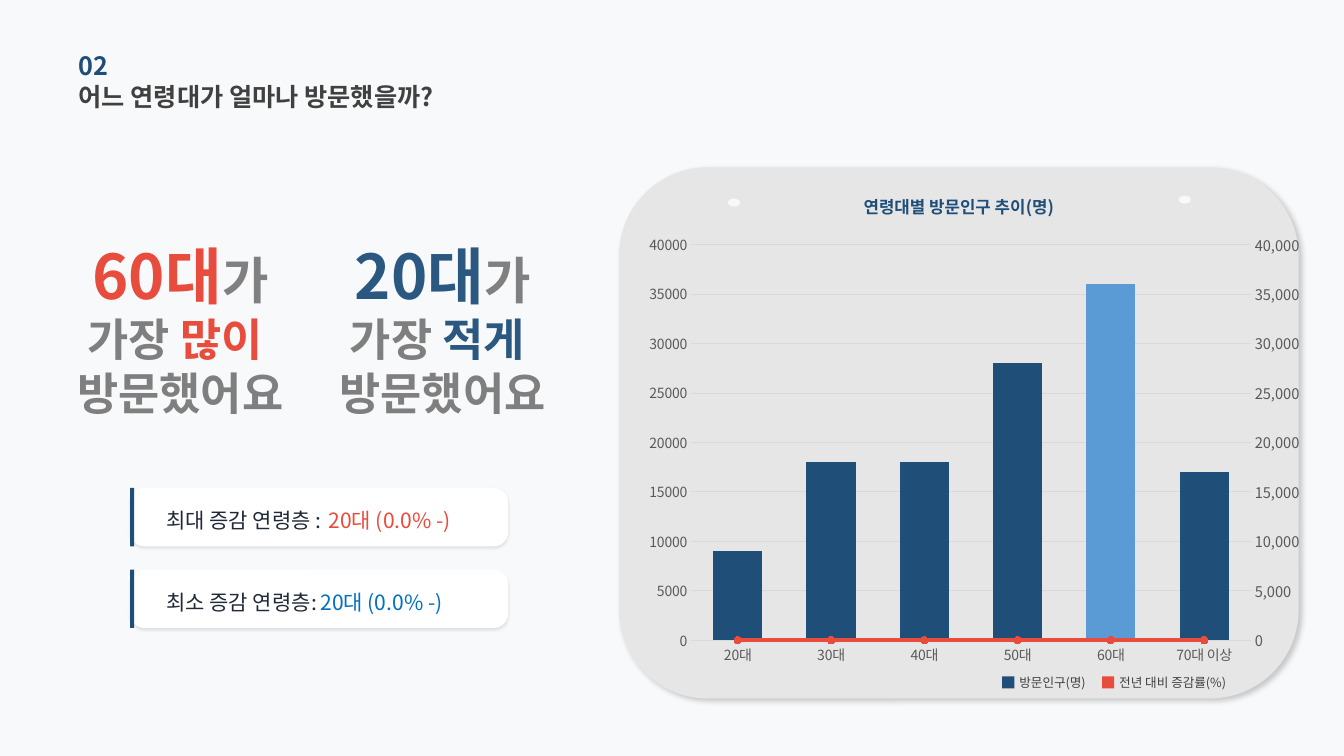
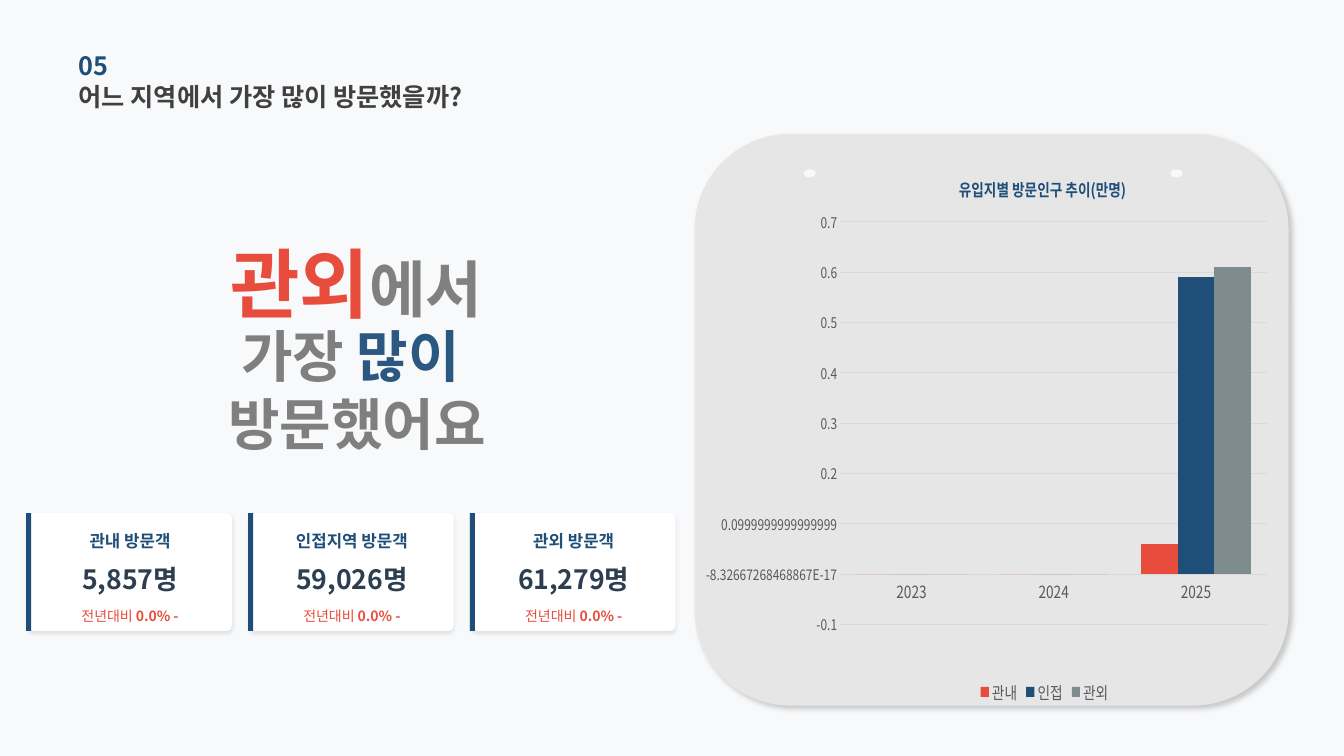
from copy import deepcopy
from lxml.etree import SubElement
from pptx import Presentation
from pptx.chart.axis import ValueAxis
from pptx.chart.data import CategoryChartData
from pptx.dml.color import RGBColor
from pptx.enum.chart import XL_CHART_TYPE, XL_LEGEND_POSITION, XL_MARKER_STYLE, XL_TICK_MARK
from pptx.enum.shapes import MSO_SHAPE
from pptx.enum.text import MSO_ANCHOR, PP_ALIGN
from pptx.oxml import parse_xml
from pptx.oxml.ns import nsdecls, qn
from pptx.util import Inches, Pt

PAPER = RGBColor(0xF8, 0xF9, 0xFA)
PANEL = RGBColor(0xE7, 0xE6, 0xE6)
WHITE = RGBColor(0xFF, 0xFF, 0xFF)
NAVY = RGBColor(0x1F, 0x4E, 0x79)
STEEL = RGBColor(0x2B, 0x58, 0x80)
SKY = RGBColor(0x5B, 0x9B, 0xD5)
BLUE = RGBColor(0x00, 0x70, 0xC0)
RED = RGBColor(0xE7, 0x4C, 0x3C)
DARK = RGBColor(0x40, 0x40, 0x40)
INK = RGBColor(0x1F, 0x29, 0x37)
SLATE = RGBColor(0x2C, 0x3E, 0x50)
GRAY = RGBColor(0x80, 0x80, 0x80)
MID = RGBColor(0x7F, 0x7F, 0x7F)
ASH = RGBColor(0x7F, 0x8C, 0x8D)
LABEL = RGBColor(0x59, 0x59, 0x59)
GRID = RGBColor(0xD9, 0xD9, 0xD9)
FACE = "Noto Sans CJK KR"


def style(font, size, color, bold=False):
    font.size = Pt(size)
    font.bold = bold
    font.color.rgb = color
    font.name = FACE
    SubElement(font._rPr, qn("a:ea")).set("typeface", FACE)


def place(node, **spots):
    layout = node.find(qn("c:layout"))
    if layout is None:
        layout = parse_xml(f"<c:layout {nsdecls('c')}/>")
        node.insert(0, layout)
    manual = SubElement(layout, qn("c:manualLayout"))
    if "w" in spots:
        SubElement(manual, qn("c:layoutTarget")).set("val", "inner")
    for key in "xy":
        SubElement(manual, qn(f"c:{key}Mode")).set("val", "edge")
    for key, value in spots.items():
        SubElement(manual, qn(f"c:{key}")).set("val", str(value))


def adjust(axis, **values):
    for tag, value in values.items():
        axis.find(qn(f"c:{tag}")).set("val", value)


class Deck:
    def __init__(self):
        self.show = Presentation()
        self.show.slide_width = Inches(13.33)
        self.show.slide_height = Inches(7.5)

    def page(self, number, title):
        self.slide = self.show.slides.add_slide(self.show.slide_layouts[6])
        fill = self.slide.background.fill
        fill.solid()
        fill.fore_color.rgb = PAPER
        self.text((0.78, 0.75, 5.28, 0.41), [(title, 18, DARK, True)])
        self.text((0.78, 0.44, 4.52, 0.41), [(number, 18, NAVY, True)])

    def text(self, box, *paras, align=PP_ALIGN.LEFT):
        frame = self.slide.shapes.add_textbox(*map(Inches, box)).text_frame
        frame.word_wrap = True
        frame.vertical_anchor = MSO_ANCHOR.MIDDLE
        frame.margin_left = frame.margin_right = 0
        frame.margin_top = frame.margin_bottom = 0
        for index, runs in enumerate(paras):
            para = frame.add_paragraph() if index else frame.paragraphs[0]
            para.alignment = align
            first = runs[0][1:]
            style(para.font, *first)
            for words, *look in runs:
                run = para.add_run()
                run.text = words
                if tuple(look) != first:
                    style(run.font, *look)

    def center(self, box, *paras):
        self.text(box, *paras, align=PP_ALIGN.CENTER)

    def shape(self, kind, box, color, shade=None, round=None):
        item = self.slide.shapes.add_shape(kind, *map(Inches, box))
        item.shadow.inherit = False
        item.fill.solid()
        item.fill.fore_color.rgb = color
        item.line.fill.background()
        if round is not None:
            item.adjustments[0] = round
        if shade:
            alpha, blur, dist, angle = shade
            effects = item._element.spPr.find(qn("a:effectLst"))
            effects.append(parse_xml(
                f'<a:outerShdw {nsdecls("a")} blurRad="{Pt(blur)}" dist="{Pt(dist)}" '
                f'dir="{angle * 60000}" algn="tl" rotWithShape="0"><a:srgbClr val="000000">'
                f'<a:alpha val="{alpha * 1000}"/></a:srgbClr></a:outerShdw>'))

    def panel(self, box, *holes):
        self.shape(MSO_SHAPE.ROUNDED_RECTANGLE, box, PANEL, (20, 4, 3, 45))
        for left, top in holes:
            self.shape(MSO_SHAPE.OVAL, (left, top, 0.12, 0.08), PAPER)

    def card(self, box, bar, shade, round):
        self.shape(MSO_SHAPE.ROUNDED_RECTANGLE, box, WHITE, shade, round)
        self.shape(MSO_SHAPE.RECTANGLE, bar, NAVY)

    def key(self, left, width, name, color):
        self.shape(MSO_SHAPE.RECTANGLE, (left, 6.71, 0.12, 0.12), color)
        self.text((left + 0.17, 6.68, width, 0.18), [(name, 9, DARK)])

    def chart(self, box, cats, series, sizes, overlap, spots):
        data = CategoryChartData()
        data.categories = cats
        for name, values, color in series:
            data.add_series(name, values)
        chart = self.slide.shapes.add_chart(
            XL_CHART_TYPE.COLUMN_CLUSTERED, *map(Inches, box), data).chart
        style(chart.font, 10, LABEL)
        chart.has_title = chart.has_legend = False
        plot = chart.plots[0]
        plot.vary_by_categories = False
        plot.gap_width = 90
        plot.overlap = overlap
        for item, (name, values, color) in zip(plot.series, series):
            item.format.fill.solid()
            item.format.fill.fore_color.rgb = color
        for axis, size in zip((chart.category_axis, chart.value_axis), sizes):
            axis.major_tick_mark = axis.minor_tick_mark = XL_TICK_MARK.NONE
            style(axis.tick_labels.font, size, LABEL)
        line = chart.category_axis.format.line
        chart.value_axis.format.line.fill.background()
        for rule in (line, chart.value_axis.major_gridlines.format.line):
            rule.color.rgb = GRID
            rule.width = Pt(0.75)
        place(chart._chartSpace.chart.plotArea, **spots)
        return chart

    def trend(self, chart, color):
        area = chart._chartSpace.chart.plotArea
        bars = area.find(qn("c:barChart"))
        ser = bars.findall(qn("c:ser"))[1]
        for tag in ("c:invertIfNegative", "c:spPr"):
            old = ser.find(qn(tag))
            if old is not None:
                ser.remove(old)
        lines = parse_xml(
            f'<c:lineChart {nsdecls("c")}><c:grouping val="standard"/><c:varyColors val="0"/>'
            '<c:marker val="1"/><c:axId val="501"/><c:axId val="502"/></c:lineChart>')
        lines.insert(2, ser)
        bars.addnext(lines)
        base = area.find(qn("c:catAx"))
        left = area.find(qn("c:valAx"))
        hidden, right = deepcopy(base), deepcopy(left)
        left.addnext(right)
        right.addnext(hidden)
        adjust(hidden, axId="501", crossAx="502", delete="1")
        adjust(right, axId="502", crossAx="501", axPos="r", crosses="max")
        axis = ValueAxis(right)
        axis.has_major_gridlines = False
        axis.minimum_scale, axis.maximum_scale, axis.major_unit = 0, 1, 0.1
        axis.tick_labels.font.size = Pt(10.5)
        item = chart.plots[1].series[0]
        item.smooth = False
        item.format.line.color.rgb = color
        item.format.line.width = Pt(3)
        item.marker.style = XL_MARKER_STYLE.CIRCLE
        item.marker.size = 5
        item.marker.format.fill.solid()
        item.marker.format.fill.fore_color.rgb = color
        item.marker.format.line.color.rgb = color


def ages(deck):
    deck.page("02", "어느 연령대가 얼마나 방문했을까?")
    deck.panel((6.14, 1.66, 6.74, 5.27), (7.22, 1.97), (11.69, 1.94))
    deck.key(9.94, 0.8, "방문인구(명)", NAVY)
    deck.key(10.93, 1.18, "전년 대비 증감률(%)", RED)
    facts = [("최대 증감 연령층 :", 3.26, RED), ("최소 증감 연령층:", 3.18, BLUE)]
    for row, (label, left, color) in enumerate(facts):
        top = 4.84 + 0.81 * row
        deck.card((1.29, top, 3.75, 0.58), (1.29, top, 0.04, 0.58), (10, 2, 1, 90), 0.245)
        deck.text((1.65, top + 0.2, 1.93, 0.24), [(label, 15, INK)])
        deck.text((left, top + 0.2, 1.72, 0.24), [("20대 (0.0% -)", 15, color)])
    for col, (age, word, color) in enumerate([("60대", "많이 ", RED), ("20대", "적게 ", STEEL)]):
        left = 0.29 + 2.6 * col
        deck.center((left, 2.49, 3, 0.48), [(age, 44, color, True), ("가", 36, GRAY, True)])
        deck.center((left, 3.21, 3, 0.84),
                    [("가장 ", 32, MID, True), (word, 32, color, True)],
                    [("방문했어요", 32, MID, True)])
    chart = deck.chart(
        (6.26, 2.25, 6.63, 4.46), ["20대", "30대", "40대", "50대", "60대", "70대 이상"],
        [("방문인구(명)", (9000, 18000, 18000, 28000, 36000, 17000), NAVY),
         ("전년 대비 증감률(%)", (0,) * 6, RED)],
        (10, 10), -27, dict(x=0.09, y=0.04, w=0.84, h=0.88))
    deck.trend(chart, RED)
    labels = chart.value_axis.tick_labels
    labels.number_format = "#,##0"
    labels.number_format_is_linked = False
    chart.value_axis.minimum_scale = 0
    chart.value_axis.maximum_scale = 40000
    chart.value_axis.major_unit = 5000
    peak = chart.plots[0].series[0].points[4].format.fill
    peak.solid()
    peak.fore_color.rgb = SKY
    deck.center((8.03, 1.9, 2.96, 0.3), [("연령대별 방문인구 추이(명)", 12, NAVY, True)])


def regions(deck):
    deck.page("05", "어느 지역에서 가장 많이 방문했을까?")
    deck.panel((6.89, 1.33, 5.89, 5.67), (7.97, 1.68), (11.61, 1.68))
    deck.center((1.39, 2.56, 4.29, 0.48), [("관외", 54, RED, True), ("에서", 44, GRAY, True)])
    deck.center((0.78, 3.44, 5.52, 0.84),
                [("가장", 40, MID, True), (" 많이 ", 40, STEEL, True)],
                [("방문했어요", 40, MID, True)])
    counts = [("관내 방문객", "5,857명"), ("인접지역 방문객", "59,026명"), ("관외 방문객", "61,279명")]
    for col, (label, count) in enumerate(counts):
        left = 0.28 + 2.2 * col
        deck.card((left, 5.09, 2.02, 1.17), (left - 0.02, 5.09, 0.05, 1.17), (10, 3, 2, 90), 0.048)
        deck.center((left, 5.25, 2.02, 0.22), [(label, 12, NAVY, True)])
        deck.center((left, 5.57, 2.02, 0.34), [(count, 19, SLATE, True)])
        deck.center((left, 6.01, 2.02, 0.2),
                    [("전년대비 ", 10, RED, False), ("0.0% -", 10, RED, True)])
    chart = deck.chart(
        (7, 1.48, 5.66, 5.55), ["2023", "2024", "2025"],
        [("관내", (0, 0, 0.06), RED), ("인접", (0, 0, 0.59), NAVY), ("관외", (0, 0, 0.61), ASH)],
        (12, 10.5), 0, dict(x=0.06, y=0.13, w=0.92, h=0.72))
    chart.value_axis.maximum_scale = 0.7
    chart.value_axis.major_unit = 0.1
    chart.has_legend = True
    chart.legend.position = XL_LEGEND_POSITION.BOTTOM
    chart.legend.include_in_layout = False
    style(chart.legend.font, 12, LABEL)
    chart.has_title = True
    para = chart.chart_title.text_frame.paragraphs[0]
    para.text = "유입지별 방문인구 추이(만명)"
    style(para.font, 12, NAVY, True)
    place(chart.chart_title._element, x=0.31, y=0.04)


def main():
    deck = Deck()
    ages(deck)
    regions(deck)
    deck.show.save("out.pptx")


if __name__ == "__main__":
    main()
